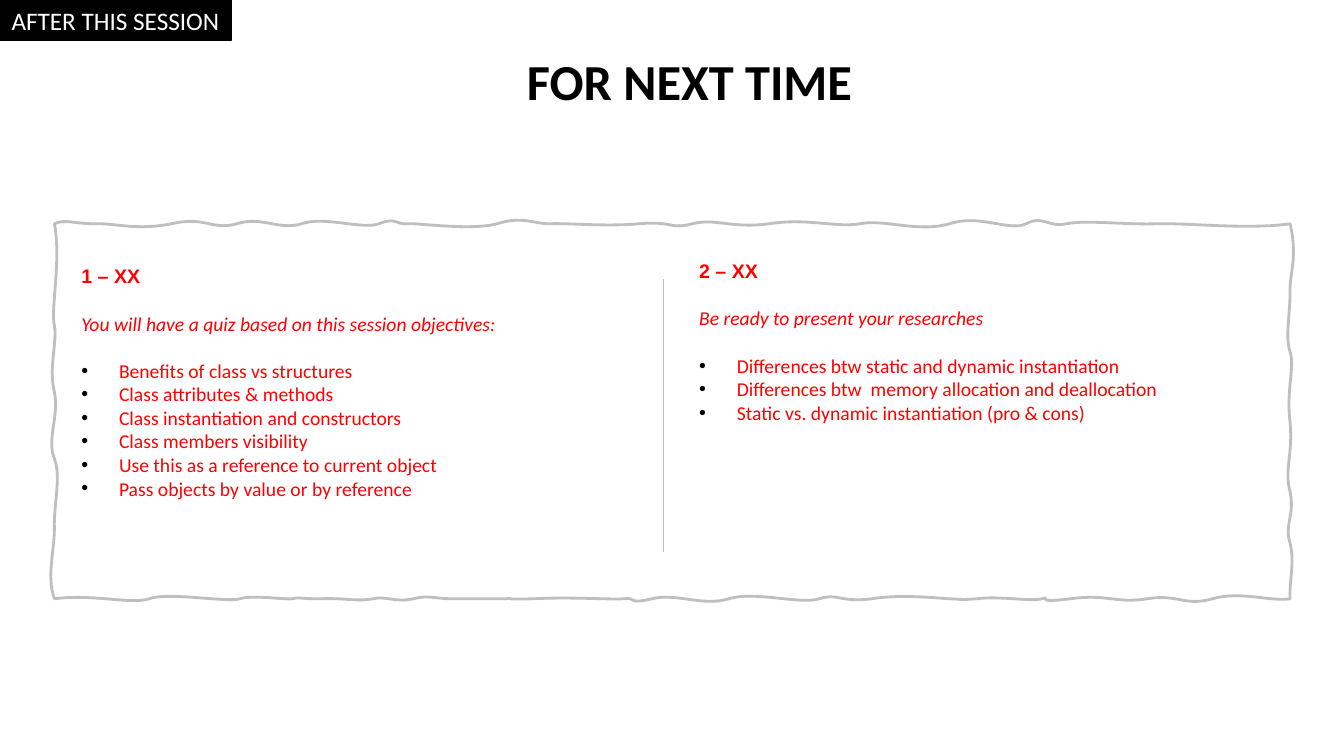
import lxml.etree
import pptx
import pptx.dml.color
import pptx.enum.shapes
import pptx.enum.text
import pptx.oxml.ns
import pptx.util

Cm, Pt, qn = pptx.util.Cm, pptx.util.Pt, pptx.oxml.ns.qn
ALIGN = pptx.enum.text.PP_ALIGN
ANCHOR = pptx.enum.text.MSO_ANCHOR
FIT = pptx.enum.text.MSO_AUTO_SIZE.SHAPE_TO_FIT_TEXT

# Frame corners and ripples, in hundredths of an inch.
# A ripple is: first handle (along, off the edge), second handle (along, off), end.
LEFT, TOP, RIGHT, BOTTOM = 54, 222, 1280, 594
TOP_RIPPLES = [
    (64, -5, 74, 0, 94), (113, -1, 135, 7, 170), (205, -8, 209, 7, 235),
    (260, -8, 277, 7, 299), (322, -8, 359, 6, 376), (393, -7, 393, 1, 404),
    (415, -1, 467, 7, 493), (519, -8, 529, 0, 545), (562, -1, 600, 3, 634),
    (669, -3, 664, 6, 687), (709, -6, 726, 5, 763), (801, -6, 829, 4, 853),
    (876, -5, 911, 9, 942), (972, -10, 1002, 8, 1018), (1035, -9, 1040, 4, 1058),
    (1077, -4, 1115, 1, 1147), (1180, -1, 1237, 6, 1280)]
RIGHT_RIPPLES = [
    (256, 8, 272, -1, 291), (311, 0, 335, -5, 349), (364, 5, 386, -4, 419),
    (452, 3, 465, -6, 488), (511, 5, 520, -6, 539), (559, 5, 576, -1, 594)]
BOTTOM_RIPPLES = [
    (1260, 3, 1231, -8, 1203), (1175, 8, 1170, -5, 1138), (1107, 5, 1100, -5, 1062),
    (1023, 5, 1045, -3, 1034), (1022, 3, 992, -3, 969), (946, 2, 948, -1, 942),
    (936, 0, 896, -5, 865), (833, 4, 831, -6, 813), (794, 6, 749, -8, 723),
    (698, 8, 671, -6, 647), (622, 6, 632, -2, 619), (606, 1, 567, -2, 530),
    (493, 1, 513, -1, 502), (491, 0, 471, 0, 450), (429, 0, 427, -4, 410),
    (393, 4, 383, -3, 370), (356, 3, 340, -1, 318), (295, 0, 296, -2, 290),
    (283, 1, 250, -4, 238), (225, 4, 167, -7, 148), (130, 6, 94, -5, 54)]
LEFT_RIPPLES = [
    (572, -8, 547, 0, 524), (502, -1, 473, 7, 455), (436, -8, 413, 5, 389),
    (365, -6, 339, 3, 323), (308, -4, 258, 7, 222)]


def color(hex_code):
    return pptx.dml.color.RGBColor.from_string(hex_code)


def write(paragraph, text, size=14, font="Calibri", hex_code="FF0000", bold=False,
          italic=False, align=ALIGN.LEFT, before=0, bullet=False):
    if bullet:
        props = paragraph._p.get_or_add_pPr()
        props.set("marL", str(Cm(0.95)))
        props.set("indent", str(-Cm(0.95)))
        bullet_color = lxml.etree.SubElement(props, qn("a:buClr"))
        lxml.etree.SubElement(bullet_color, qn("a:srgbClr"), val="000000")
        lxml.etree.SubElement(props, qn("a:buFont"), typeface="Arial")
        lxml.etree.SubElement(props, qn("a:buChar"), char="•")
    paragraph.alignment = align
    if before:
        paragraph.space_before = Pt(before)
    run = paragraph.add_run()
    run.text = text
    run.font.size, run.font.name = Pt(size), font
    run.font.bold, run.font.italic = bold, italic
    run.font.color.rgb = color(hex_code)


def edge(ripples, base, horizontal):
    """Turn the ripples of one side into triples of (x, y) points."""
    for a1, off1, a2, off2, end in ripples:
        points = [(a1, base + off1), (a2, base + off2), (end, base)]
        yield points if horizontal else [(y, x) for x, y in points]


class SlideBuilder:
    ink, accent, rule = "000000", "FF0000", "BFBFBF"

    def __init__(self, slide):
        self.slide = slide

    def title(self, text, left, top, width, height):
        heading = self.slide.shapes.title
        heading.left, heading.top = Cm(left), Cm(top)
        heading.width, heading.height = Cm(width), Cm(height)
        frame = heading.text_frame
        frame.word_wrap, frame.auto_size = True, FIT
        frame.vertical_anchor = ANCHOR.TOP
        write(frame.paragraphs[0], text, size=36, hex_code=self.ink, bold=True,
              align=ALIGN.CENTER)

    def tag(self, text, left, top, width, height):
        label = self.slide.shapes.add_shape(
            pptx.enum.shapes.MSO_SHAPE.RECTANGLE, Cm(left), Cm(top), Cm(width), Cm(height))
        label.shadow.inherit = False
        label.fill.solid()
        label.fill.fore_color.rgb = color(self.ink)
        label.line.color.rgb = color(self.ink)
        label.line.width = Pt(1)
        label.text_frame.word_wrap = False
        write(label.text_frame.paragraphs[0], text, size=18, hex_code="FFFFFF",
              align=ALIGN.CENTER)

    def task(self, heading, lead, topics, left, top, width, height):
        box = self.slide.shapes.add_textbox(Cm(left), Cm(top), Cm(width), Cm(height))
        frame = box.text_frame
        frame.word_wrap, frame.auto_size = True, FIT
        write(frame.paragraphs[0], heading, font="Arial", hex_code=self.accent, bold=True)
        write(frame.add_paragraph(), lead, hex_code=self.accent, italic=True, before=17)
        for index, topic in enumerate(topics):
            write(frame.add_paragraph(), topic, hex_code=self.accent, bullet=True,
                  before=0 if index else 17)

    def divider(self, x, top, bottom):
        line = self.slide.shapes.add_connector(
            pptx.enum.shapes.MSO_CONNECTOR.STRAIGHT, Cm(x), Cm(top), Cm(x), Cm(bottom))
        line.line.color.rgb = color(self.rule)
        line.line.width = Pt(0.75)
        lxml.etree.SubElement(line._element.spPr, qn("a:effectLst"))

    def wavy_frame(self):
        curves = [*edge(TOP_RIPPLES, TOP, True), *edge(RIGHT_RIPPLES, RIGHT, False),
                  *edge(BOTTOM_RIPPLES, BOTTOM, True), *edge(LEFT_RIPPLES, LEFT, False)]
        builder = self.slide.shapes.build_freeform(LEFT, TOP, scale=Cm(2.54) / 100)
        builder.add_line_segments([points[-1] for points in curves], close=True)
        outline = builder.convert_to_shape()
        outline.shadow.inherit = False
        outline.fill.background()
        outline.line.color.rgb = color(self.rule)
        outline.line.width = Pt(2)
        # Bend each straight segment into a curve
        segments = list(outline._element.iter(qn("a:lnTo")))
        for segment, points in zip(segments, curves):
            bend = lxml.etree.Element(qn("a:cubicBezTo"))
            for x, y in points:
                lxml.etree.SubElement(bend, qn("a:pt"), x=str(x - LEFT), y=str(y - TOP))
            segment.getparent().replace(segment, bend)


def main():
    deck = pptx.Presentation()
    deck.slide_width, deck.slide_height = Cm(33.87), Cm(19.05)
    page = SlideBuilder(deck.slides.add_slide(deck.slide_layouts[5]))

    # Header
    page.tag("AFTER THIS SESSION", 0, 0, 5.82, 1.02)
    page.title(" FOR NEXT TIME", 8.46, 1.14, 17.55, 1.8)

    # Two tasks with a divider between them
    page.task("1 – XX", "You will have a quiz based on this session objectives:",
              ["Benefits of class vs structures", "Class attributes & methods",
               "Class instantiation and constructors", "Class members visibility",
               "Use this as a reference to current object",
               "Pass objects by value or by reference"], 1.8, 6.53, 15.57, 6.25)
    page.divider(16.71, 7.04, 13.92)
    page.task("2 – XX", "Be ready to present your researches",
              ["Differences btw static and dynamic instantiation",
               "Differences btw  memory allocation and deallocation",
               "Static vs. dynamic instantiation (pro & cons)"], 17.37, 6.4, 15.32, 4.45)

    # Hand-drawn frame
    page.wavy_frame()
    deck.save("out.pptx")


if __name__ == "__main__":
    main()
